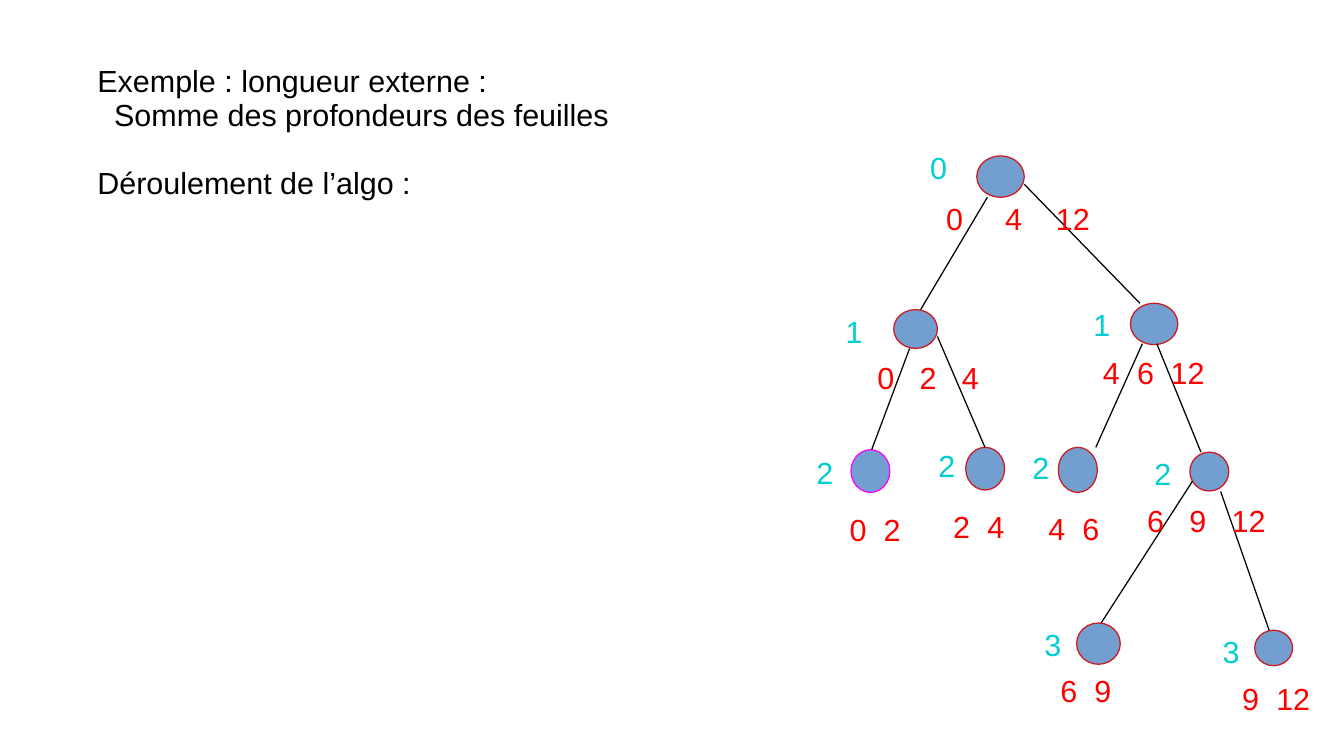
"""Build a slide showing the external path length algorithm on a binary tree."""
import pptx
import pptx.dml.color
import pptx.enum.shapes
import pptx.oxml.ns
import pptx.util
from lxml import etree
from pptx.util import Cm, Pt

RGBColor = pptx.dml.color.RGBColor
BLACK = RGBColor(0x00, 0x00, 0x00)
NODE_BLUE = RGBColor(0x72, 0x9F, 0xCF)
NODE_RED = RGBColor(0xCE, 0x18, 0x1E)
FIRST_LEAF_PINK = RGBColor(0xFF, 0x00, 0xFF)
DEPTH_TURQUOISE = RGBColor(0x00, 0xCE, 0xD1)
SUM_RED = RGBColor(0xFF, 0x00, 0x00)

# (text, left indent in cm, space before in pt)
EXPLANATION = [
    ("Exemple : longueur externe :", 0, 0),
    ("Somme des profondeurs des feuilles", 0.35, 0),
    ("Déroulement de l’algo :", 0, 20),
]

# (path from the root, ellipse box, depth position, sums, sums box, tab stops)
NODES = [
    ("", (20.35, 3.25, 0.99, 0.86), (19.13, 3.05),
     (0, 4, 12), (19.46, 4.11, 4.29, 1.68), (1.23, 2.29)),
    ("G", (18.62, 6.45, 0.91, 0.81), (17.37, 6.45),
     (0, 2, 4), (18.03, 7.42, 2.79, 0.97), (0.88, 1.76)),
    ("D", (23.55, 6.32, 0.99, 0.86), (22.53, 6.32),
     (4, 6, 12), (22.73, 7.32, 2.79, 0.97), (0.71, 1.41)),
    ("GG", (17.73, 9.37, 0.81, 0.89), (16.76, 9.4),
     (0, 2), (17.45, 10.59, 1.78, 0.97), (0.71,)),
    ("GD", (20.12, 9.32, 0.81, 0.89), (19.3, 9.25),
     (2, 4), (19.61, 10.52, 1.78, 0.97), (0.71,)),
    ("DG", (22.05, 9.32, 0.81, 0.94), (21.26, 9.3),
     (4, 6), (21.59, 10.57, 1.78, 0.97), (0.71,)),
    ("DD", (24.79, 9.42, 0.81, 0.81), (23.8, 9.42),
     (6, 9, 12), (23.65, 10.39, 3.2, 1.68), (0.88, 1.76)),
    ("DDG", (22.43, 12.98, 0.91, 0.86), (21.51, 12.98),
     (6, 9), (21.84, 13.94, 1.78, 0.97), (0.71,)),
    ("DDD", (26.14, 13.13, 0.79, 0.74), (25.22, 13.13),
     (9, 12), (25.63, 14.1, 2.01, 1.68), (0.71,)),
]
FIRST_LEAF = "GG"
DEPTH_SIZE = (1.22, 0.97)

BRANCHES = [
    (20.57, 4.11, 19.18, 6.45),
    (21.34, 3.84, 23.75, 6.32),
    (18.95, 7.26, 18.16, 9.37),
    (19.53, 7.01, 20.52, 9.32),
    (23.8, 7.16, 22.83, 9.32),
    (24.1, 7.16, 25.02, 9.42),
    (24.84, 10.03, 22.94, 12.98),
    (25.43, 10.24, 26.44, 13.13),
]


def in_cm(lengths):
    return [Cm(length) for length in lengths]


def add_text(slide, box, lines, colour, top_inset=0.13, stops=()):
    frame = slide.shapes.add_textbox(*in_cm(box)).text_frame
    frame.word_wrap = True
    frame.margin_left = frame.margin_right = Cm(0.25)
    frame.margin_top, frame.margin_bottom = Cm(top_inset), Cm(0.13)
    for index, (text, indent, space_before) in enumerate(lines):
        paragraph = frame.add_paragraph() if index else frame.paragraphs[0]
        properties = paragraph._p.get_or_add_pPr()
        if indent:
            properties.set("marL", str(Cm(indent)))
        if stops:
            tabs = etree.SubElement(properties, pptx.oxml.ns.qn("a:tabLst"))
            for stop in stops:
                etree.SubElement(tabs, pptx.oxml.ns.qn("a:tab"),
                                 pos=str(Cm(stop)), algn="l")
        paragraph.text = text
        paragraph.line_spacing = 0.93
        if space_before:
            paragraph.space_before = Pt(space_before)
        for run in paragraph.runs:
            run.font.name = "Arial"
            run.font.size = Pt(18)
            run.font.color.rgb = colour


def add_node(slide, box, outline):
    node = slide.shapes.add_shape(
        pptx.enum.shapes.MSO_SHAPE.OVAL, *in_cm(box))
    node.shadow.inherit = False
    node.fill.solid()
    node.fill.fore_color.rgb = NODE_BLUE
    node.line.color.rgb = outline
    node.line.width = Pt(0.75)


def add_branch(slide, ends):
    branch = slide.shapes.add_connector(
        pptx.enum.shapes.MSO_CONNECTOR.STRAIGHT, *in_cm(ends))
    branch.line.color.rgb = BLACK
    branch.line.width = Pt(0.75)
    etree.SubElement(branch._element.spPr, pptx.oxml.ns.qn("a:effectLst"))


def main():
    deck = pptx.Presentation()
    deck.slide_width, deck.slide_height = Cm(28), Cm(15.75)
    slide = deck.slides.add_slide(deck.slide_layouts[6])

    add_text(slide, (1.78, 1.19, 13.21, 13.77), EXPLANATION, BLACK, 0.18)
    for path, ellipse, *_ in NODES:
        add_node(slide, ellipse,
                 FIRST_LEAF_PINK if path == FIRST_LEAF else NODE_RED)
    for ends in BRANCHES:
        add_branch(slide, ends)
    for path, _, depth_position, sums, sums_box, stops in NODES:
        add_text(slide, depth_position + DEPTH_SIZE,
                 [(str(len(path)), 0, 0)], DEPTH_TURQUOISE)
        add_text(slide, sums_box, [("\t".join(map(str, sums)), 0, 0)],
                 SUM_RED, stops=stops)
    deck.save("out.pptx")


if __name__ == "__main__":
    main()
